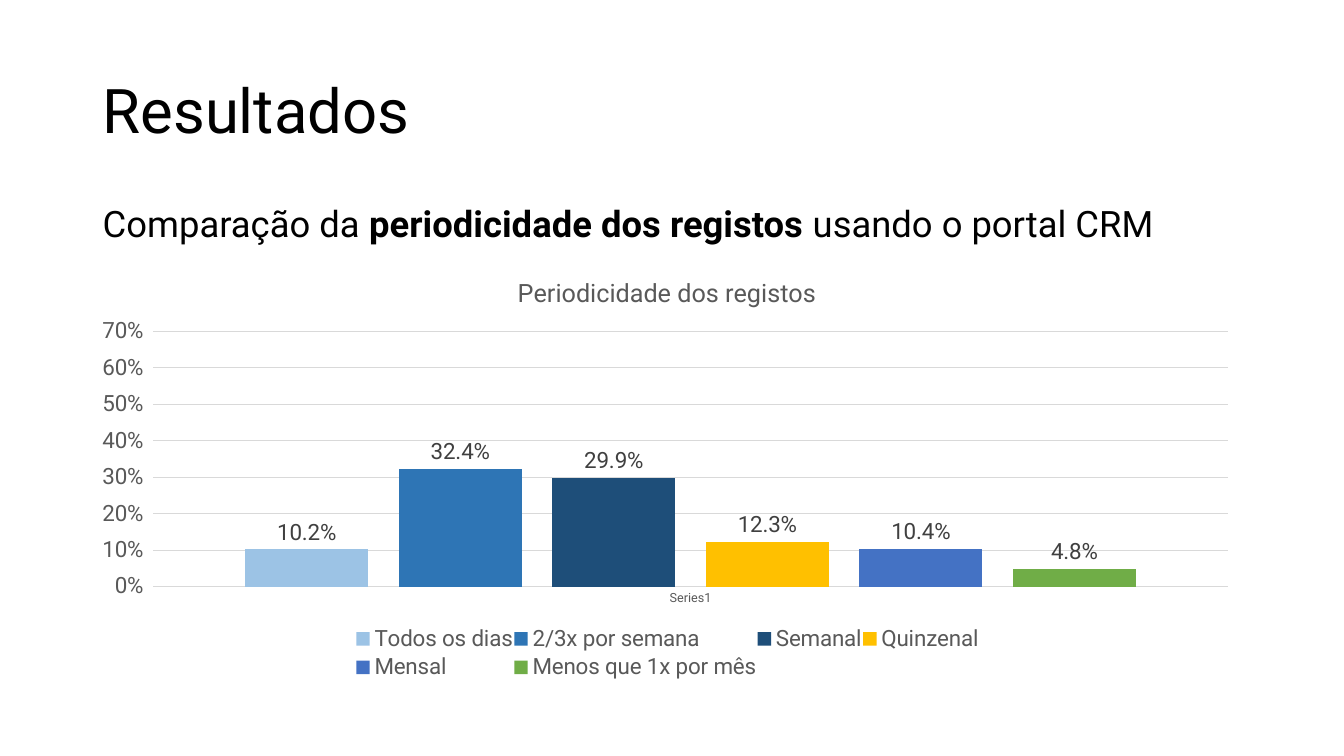
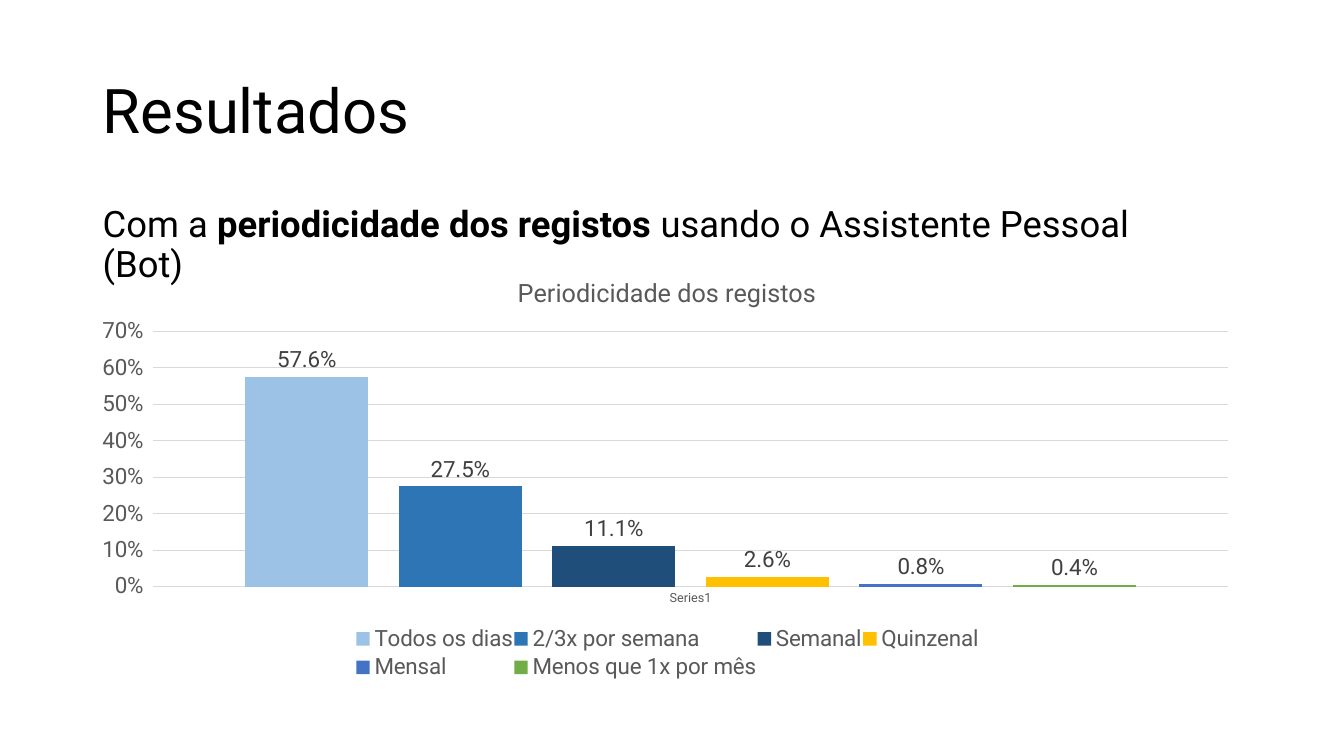
from pptx import Presentation
from pptx.chart.data import CategoryChartData
from pptx.dml.color import RGBColor
from pptx.enum.chart import XL_CHART_TYPE, XL_LABEL_POSITION, XL_LEGEND_POSITION, XL_TICK_MARK
from pptx.enum.text import MSO_ANCHOR
from pptx.oxml import parse_xml
from pptx.oxml.ns import nsdecls, qn
from pptx.util import Inches, Pt

FONT = "Roboto"
BLACK = RGBColor(0x00, 0x00, 0x00)
GREY = RGBColor(0x59, 0x59, 0x59)
LABEL_GREY = RGBColor(0x40, 0x40, 0x40)
GRID_GREY = RGBColor(0xD9, 0xD9, 0xD9)

FREQUENCIES = {
    "Todos os dias": RGBColor(0x9C, 0xC3, 0xE5),
    "2/3x por semana": RGBColor(0x2E, 0x75, 0xB5),
    "Semanal": RGBColor(0x1E, 0x4E, 0x79),
    "Quinzenal": RGBColor(0xFF, 0xC0, 0x00),
    "Mensal": RGBColor(0x44, 0x72, 0xC4),
    "Menos que 1x por mês": RGBColor(0x70, 0xAD, 0x47),
}

TITLE_BOX = (0.92, 0.4, 11.5, 1.45)
BODY_BOX = (0.92, 2, 11.01, 1.01)
CHART_BOX = (0.78, 2.5, 11.63, 4.3)
CHART_TITLE_AREA = (4.31, 0.2)
PLOT_AREA = (0.74, 0.79, 10.66, 2.53)
LEGEND_AREA = (2.74, 3.68, 6.2, 0.6)

SLIDES = [
    {
        "spans": [("Comparação da ", False), ("periodicidade dos registos ", True),
                  ("usando o portal CRM", False)],
        "values": [0.102, 0.324, 0.299, 0.123, 0.104, 0.048],
    },
    {
        "spans": [("Com a ", False), ("periodicidade dos registos", True),
                  (" usando o Assistente Pessoal (Bot)", False)],
        "values": [0.576, 0.275, 0.111, 0.026, 0.008, 0.004],
    },
]


def apply(target, formats):
    """Set each attribute named in a dict of format values."""
    for name, value in formats.items():
        setattr(target, name, value)


def style_font(font, size, color, bold=False):
    """Give a font the deck's typeface with a size, colour and weight."""
    apply(font, {"name": FONT, "size": Pt(size), "bold": bold})
    font.color.rgb = color


def style_line(line):
    """Draw a thin grey chart line."""
    line.color.rgb = GRID_GREY
    line.width = Pt(0.75)


def add_text(page, box, spans, size, anchor, space_before=0):
    """Place one paragraph of plain and bold spans in a box."""
    frame = page.shapes.add_textbox(*map(Inches, box)).text_frame
    apply(frame, {"word_wrap": True, "vertical_anchor": anchor})
    para = frame.paragraphs[0]
    apply(para, {"line_spacing": 0.9, "space_before": Pt(space_before)})
    for text, bold in spans:
        span = para.add_run()
        span.text = text
        style_font(span.font, size, BLACK, bold)


def set_layout(parent, index, area, box, inner=False):
    """Fix a chart part at an area in inches within the chart's box."""
    for old in parent.findall(qn("c:layout")):
        parent.remove(old)
    keys = "xywh"[:len(area)]
    target = '<c:layoutTarget val="inner"/>' if inner else ""
    modes = "".join(f'<c:{key}Mode val="edge"/>' for key in keys[:2])
    sizes = "".join(f'<c:{key} val="{length / box[2 + position % 2]:.4f}"/>'
                    for position, (key, length) in enumerate(zip(keys, area)))
    parent.insert(index, parse_xml(
        f'<c:layout {nsdecls("c")}><c:manualLayout>{target}{modes}{sizes}'
        '</c:manualLayout></c:layout>'))


def style_axes(chart):
    """Format the category axis, the percentage axis and its grid."""
    categories, values = chart.category_axis, chart.value_axis
    categories.major_tick_mark = XL_TICK_MARK.NONE
    style_font(categories.tick_labels.font, 9, GREY)
    style_line(categories.format.line)
    apply(values, {"minimum_scale": 0, "maximum_scale": 0.7, "major_unit": 0.1,
                   "has_major_gridlines": True, "major_tick_mark": XL_TICK_MARK.OUTSIDE})
    apply(values.tick_labels, {"number_format": "0%", "number_format_is_linked": False})
    style_font(values.tick_labels.font, 16, GREY)
    values.format.line.fill.background()
    style_line(values.major_gridlines.format.line)


def style_series(plot):
    """Colour each series and show its value above the column."""
    apply(plot, {"gap_width": 150, "overlap": -25, "vary_by_categories": False})
    for series, color in zip(plot.series, FREQUENCIES.values()):
        series.format.fill.solid()
        series.format.fill.fore_color.rgb = color
        labels = series.data_labels
        apply(labels, {"show_value": True, "number_format": "0.0%",
                       "number_format_is_linked": False,
                       "position": XL_LABEL_POSITION.OUTSIDE_END})
        style_font(labels.font, 16, LABEL_GREY)


def add_frequency_chart(page, box, values):
    """Place the column chart of record frequency in a box."""
    data = CategoryChartData(number_format="0.0%")
    data.categories = ["Series1"]
    for name, value in zip(FREQUENCIES, values):
        data.add_series(name, [value])
    chart = page.shapes.add_chart(
        XL_CHART_TYPE.COLUMN_CLUSTERED, *map(Inches, box), data).chart
    style_font(chart.font, 10, BLACK)
    apply(chart, {"has_title": True, "has_legend": True})
    title = chart.chart_title.text_frame
    title.text = "Periodicidade dos registos"
    style_font(title.paragraphs[0].runs[0].font, 18, GREY)
    apply(chart.legend, {"position": XL_LEGEND_POSITION.BOTTOM, "include_in_layout": False})
    style_font(chart.legend.font, 16, GREY)
    style_axes(chart)
    style_series(chart.plots[0])
    root = chart.element.find(qn("c:chart"))
    set_layout(root.find(qn("c:title")), 1, CHART_TITLE_AREA, box)
    set_layout(root.find(qn("c:plotArea")), 0, PLOT_AREA, box, inner=True)
    set_layout(root.find(qn("c:legend")), 1, LEGEND_AREA, box)


def add_result_slide(deck, spans, values):
    """Add one results slide with title, sentence and chart."""
    page = deck.slides.add_slide(deck.slide_layouts[6])
    add_text(page, TITLE_BOX, [("Resultados", False)], 44, MSO_ANCHOR.MIDDLE)
    add_text(page, BODY_BOX, spans, 26, MSO_ANCHOR.TOP, space_before=10)
    add_frequency_chart(page, CHART_BOX, values)


def main():
    """Build and save the deck."""
    deck = Presentation()
    apply(deck, {"slide_width": Inches(13.33), "slide_height": Inches(7.5)})
    for content in SLIDES:
        add_result_slide(deck, **content)
    deck.save("out.pptx")


if __name__ == "__main__":
    main()
